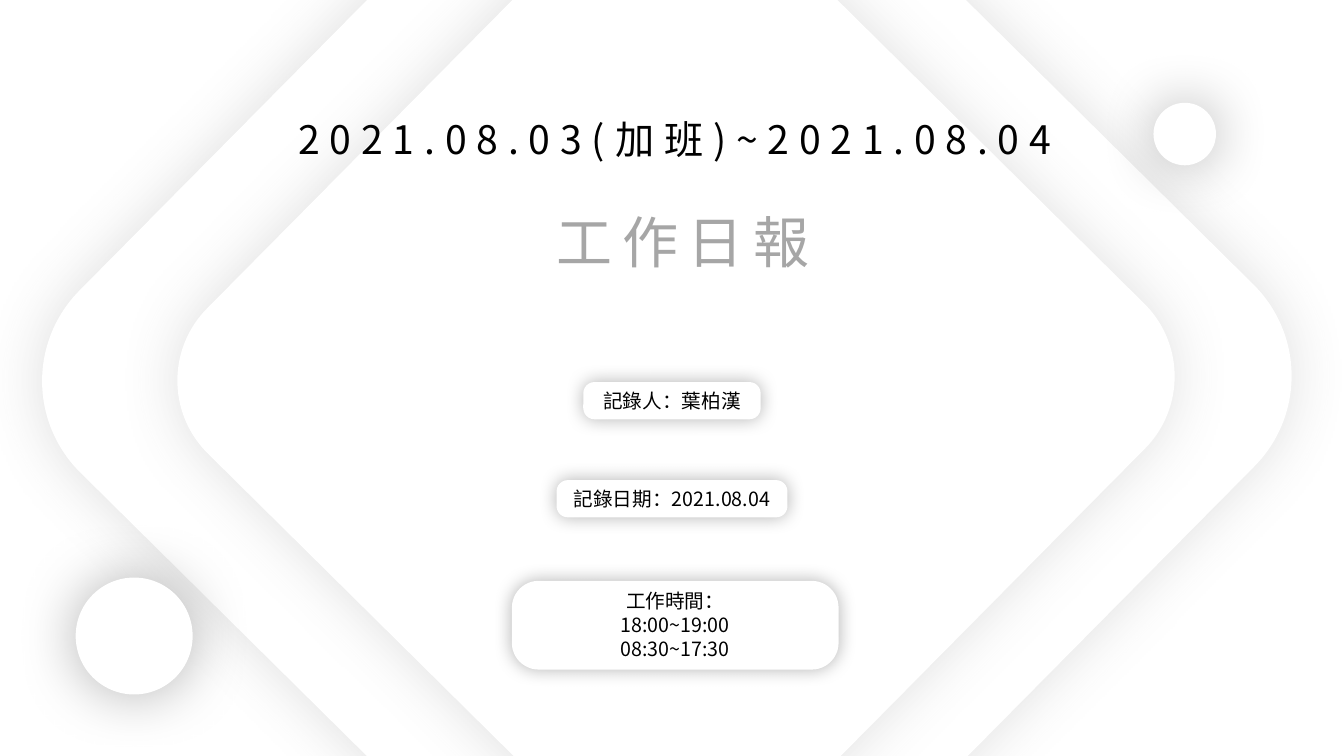
from lxml import etree
from pptx import Presentation
from pptx.dml.color import RGBColor
from pptx.enum.shapes import MSO_SHAPE
from pptx.enum.text import MSO_ANCHOR, MSO_AUTO_SIZE, PP_ALIGN
from pptx.oxml.ns import qn
from pptx.util import Inches, Pt

ROUND, OVAL = MSO_SHAPE.ROUNDED_RECTANGLE, MSO_SHAPE.OVAL
CENTER, TOP, GROW = PP_ALIGN.CENTER, MSO_ANCHOR.TOP, MSO_AUTO_SIZE.SHAPE_TO_FIT_TEXT

# Content: centres and sizes in columns (1% of width) and rows (1% of height)
DATE = ("2021.08.03(加班)~2021.08.04", (50.22, 18.33), (60.54, 7.6))
TITLE = ("工作日報", (50.83, 31.93), (35.63, 10.27))
# Centre, side in rows
FRAMES = [((49.62, 50.07), 126.8), ((50.3, 50.07), 101.2)]
DOTS = [((9.98, 84.13), 15.47), ((88.15, 17.73), 8.27)]
# Lines, centre, card size, text size
CARDS = [
    (["記錄人：葉柏漢"], (50.0, 53.0), (13.2, 4.93), (15.68, 4.53)),
    (["記錄日期：2021.08.04"], (50.0, 65.97), (17.18, 4.93), (18.08, 4.53)),
    (["工作時間：", "18:00~19:00", "08:30~17:30"],
     (50.24, 82.7), (24.31, 11.73), (25.58, 10.8)),
]

THEME = {
    "font": "Noto Sans CJK SC",
    "paper": "FFFFFF", "ink": "000000", "gray": "A6A6A6",
    "date": 28, "title": 40, "note": 14, "track": 7,
    # Shadow colour, opacity in percent, blur in points
    "soft": ("595959", 19, 43), "deep": ("000000", 30, 43),
    "near": ("000000", 30, 13),
    "bend": 0.134, "curve": 0.302, "turn": 44.7,
}

prs = Presentation()
prs.slide_width, prs.slide_height = Inches(13.33), Inches(7.5)
COL, ROW = prs.slide_width / 100, prs.slide_height / 100


def place(mid, size):
    """Left, top, width and height of a box around its centre."""
    (x, y), (w, h) = mid, size
    return (round((x - w / 2) * COL), round((y - h / 2) * ROW),
            round(w * COL), round(h * ROW))


def square(side):
    return side * ROW / COL, side


def glow(shape, style):
    tint, alpha, blur = style
    shape.shadow.inherit = False
    effects = shape._element.spPr.find(qn("a:effectLst"))
    shade = etree.SubElement(effects, qn("a:outerShdw"), blurRad=str(Pt(blur)),
                             dist="0", dir="0", algn="ctr", rotWithShape="0")
    color = etree.SubElement(shade, qn("a:srgbClr"), val=tint)
    etree.SubElement(color, qn("a:alpha"), val=str(alpha * 1000))


def panel(home, kind, mid, size, style, curve=None):
    shape = home.add_shape(kind, *place(mid, size))
    shape.fill.solid()
    shape.fill.fore_color.rgb = RGBColor.from_string(THEME["paper"])
    shape.line.fill.background()
    if curve is not None:
        shape.adjustments[0] = curve
    glow(shape, style)
    return shape


def write(box, lines, size, tint, track=0):
    frame = box.text_frame
    frame.word_wrap, frame.auto_size = True, GROW
    frame.vertical_anchor = TOP
    for i, line in enumerate(lines):
        para = frame.add_paragraph() if i else frame.paragraphs[0]
        para.alignment = CENTER
        para.space_before = Pt(0)
        run = para.add_run()
        run.text = line
        font = run.font
        font.size, font.name = Pt(size), THEME["font"]
        font.color.rgb = RGBColor.from_string(tint)
        props = run._r.get_or_add_rPr()
        etree.SubElement(props, qn("a:ea"), typeface=THEME["font"])
        if track:
            props.set("spc", str(track * 100))


slide = prs.slides.add_slide(prs.slide_layouts[0])
shapes = slide.shapes

# Tilted frames
for mid, side in FRAMES:
    frame = panel(shapes, ROUND, mid, square(side), THEME["soft"], THEME["bend"])
    frame.rotation = THEME["turn"]

# Headings, raised above the frames
heads = [(slide.placeholders[1], DATE, "date", "ink"),
         (shapes.title, TITLE, "title", "gray")]
for box, (text, mid, size), level, tint in heads:
    box.left, box.top, box.width, box.height = place(mid, size)
    write(box, [text], THEME[level], THEME[tint], THEME["track"])
    shapes._spTree.append(box._element)

# Corner dots
for mid, side in DOTS:
    panel(shapes, OVAL, mid, square(side), THEME["deep"])

# Note cards
for lines, mid, size, area in CARDS:
    group = shapes.add_group_shape().shapes
    panel(group, ROUND, mid, size, THEME["near"], THEME["curve"])
    write(group.add_textbox(*place(mid, area)), lines, THEME["note"], THEME["ink"])

prs.save("out.pptx")
